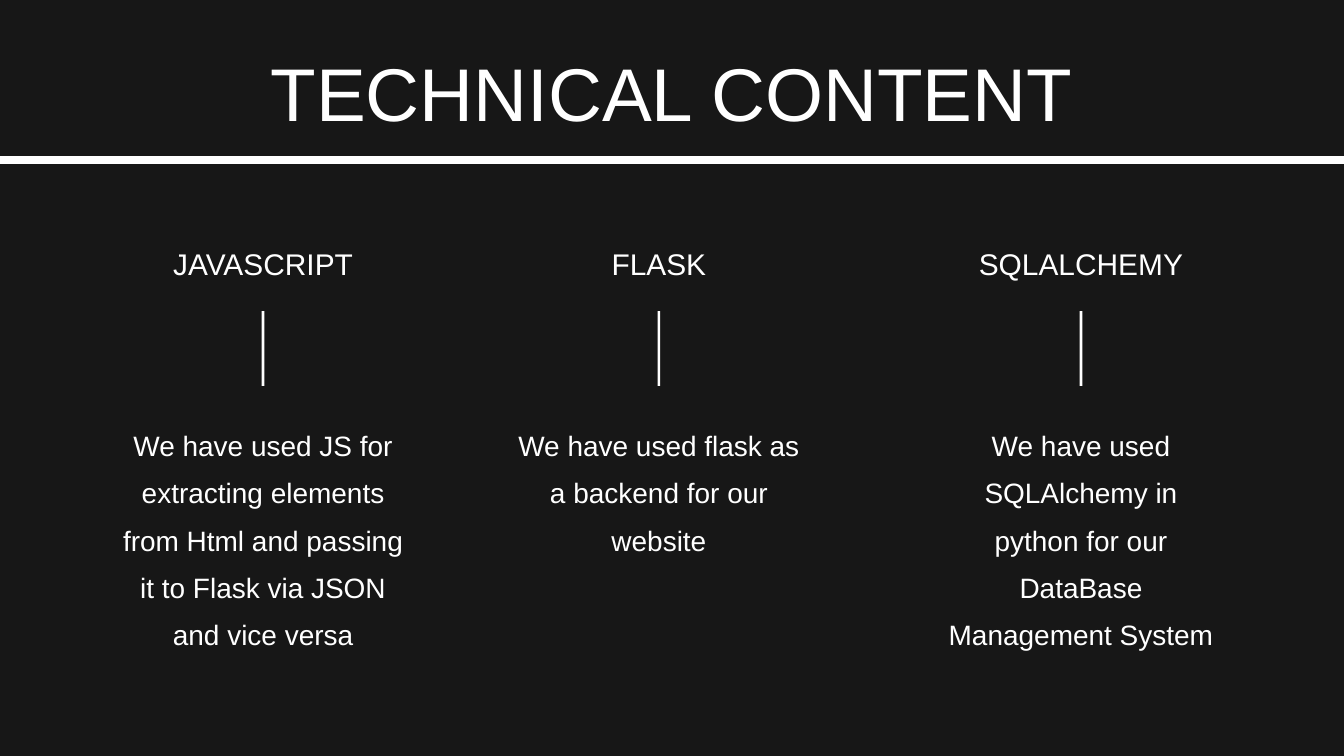
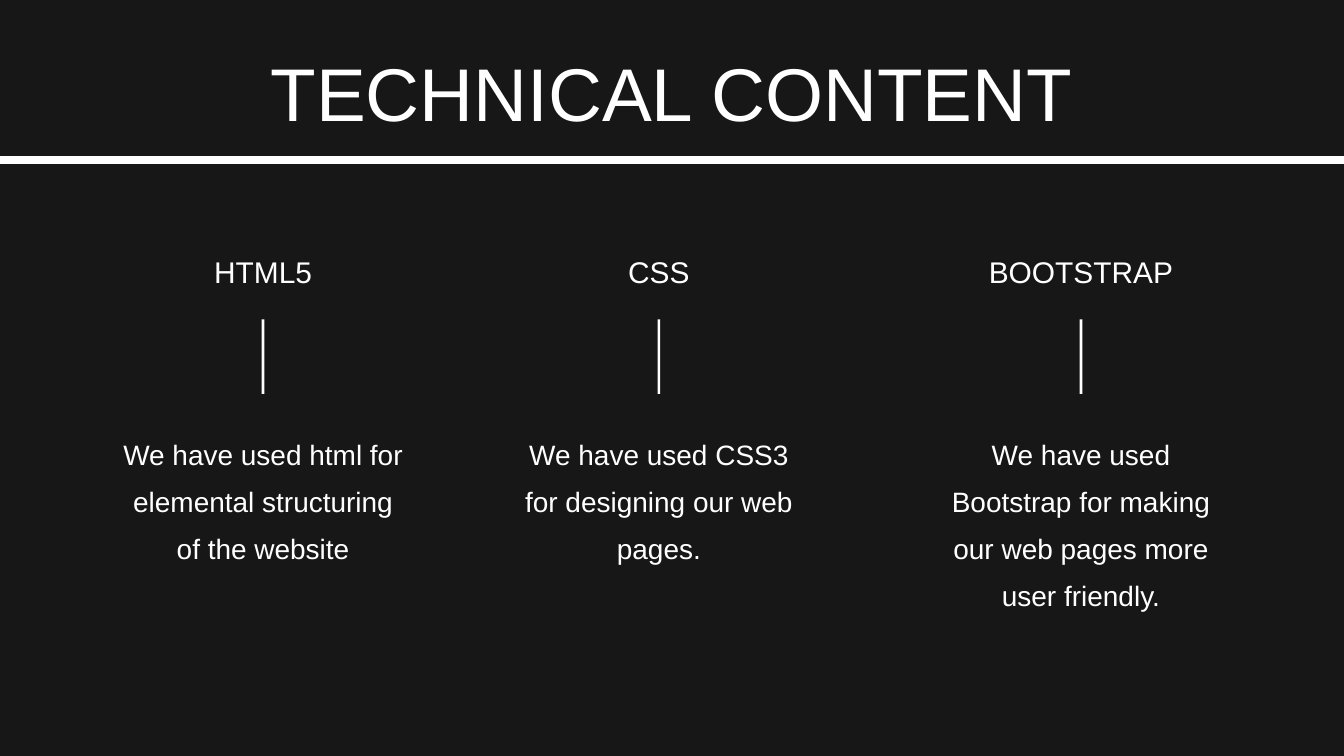
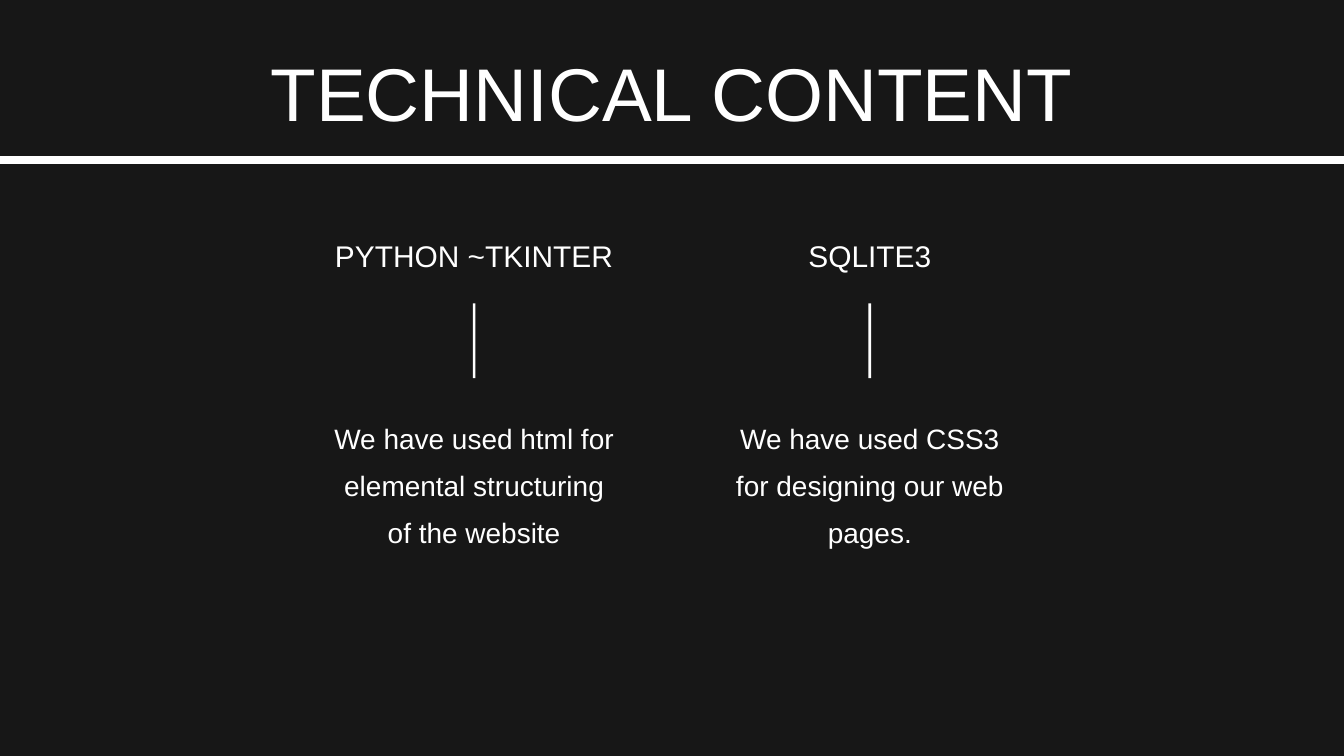
from lxml import etree
from pptx import Presentation
from pptx import util as u
from pptx.dml.color import RGBColor
from pptx.enum import shapes, text
from pptx.oxml.ns import qn

Pt = u.Pt
COLORS = {"background": "171717", "foreground": "FFFFFF"}
FONT = "Arial"
TITLE = "TECHNICAL CONTENT"
TITLE_ONLY = 5

# Geometry in points
SLIDE_WIDTH, SLIDE_HEIGHT = 1440, 810
RULE_Y = 171.4
HEADING_WIDTH, HEADING_HEIGHT = 373.6, 38
BODY_WIDTH, BODY_LINE_HEIGHT = 304.6, 41.5
BAR_WIDTH, BAR_HEIGHT = 2.9, 80
BAR_OFFSET, BODY_OFFSET = 77.8, 189.6  # below the top of the heading
THREE_COLUMNS = (281.9, 706, 1158.2)
TWO_COLUMNS = (508, 932)

# Per slide: top of the headings, column centres, (heading, body, body lines)
SLIDES = [
    (255.6, THREE_COLUMNS, [
        ("JAVASCRIPT", "We have used JS for extracting elements from Html "
         "and passing it to Flask via JSON and vice versa", 5),
        ("FLASK", "We have used flask as a backend for our website", 3),
        ("SQLALCHEMY", "We have used SQLAlchemy in python for our "
         "DataBase Management System", 4),
    ]),
    (264.4, THREE_COLUMNS, [
        ("HTML5", "We have used html for elemental structuring of the website", 3),
        ("CSS", "We have used CSS3 for designing our web pages.", 3),
        ("BOOTSTRAP", "We have used Bootstrap for making our web pages "
         "more user friendly.", 4),
    ]),
    (247.4, TWO_COLUMNS, [
        ("PYTHON ~TKINTER", "We have used html for elemental structuring "
         "of the website", 3),
        ("SQLITE3", "We have used CSS3 for designing our web pages.", 3),
    ]),
]


def color(name):
    return RGBColor.from_string(COLORS[name])


def write_text(shape, content, size, line_spacing):
    """Fill a shape with one centred paragraph, without insets."""
    frame = shape.text_frame
    frame.word_wrap = True
    frame.auto_size = text.MSO_AUTO_SIZE.NONE
    frame.vertical_anchor = text.MSO_ANCHOR.TOP
    frame.margin_left = frame.margin_right = 0
    frame.margin_top = frame.margin_bottom = 0
    paragraph = frame.paragraphs[0]
    paragraph.alignment = text.PP_ALIGN.CENTER
    paragraph.line_spacing = line_spacing
    run = paragraph.add_run()
    run.text = content
    run.font.name = FONT
    run.font.size = Pt(size)
    run.font.color.rgb = color("foreground")


def add_title(slide):
    title = slide.shapes.title
    title.left, title.top = Pt(242.8), Pt(54.7)
    title.width, title.height = Pt(954), Pt(82)
    write_text(title, TITLE, 80, 0.98)


def add_rule(slide):
    """Draw the full-width line below the title."""
    rule = slide.shapes.add_connector(
        shapes.MSO_CONNECTOR.STRAIGHT, 0, Pt(RULE_Y), Pt(SLIDE_WIDTH), Pt(RULE_Y))
    rule.line.color.rgb = color("foreground")
    rule.line.width = Pt(9)
    etree.SubElement(rule._element.spPr, qn("a:effectLst"))


def add_text(slide, center, top, width, height, content, size, line_spacing):
    box = slide.shapes.add_textbox(
        Pt(center - width / 2), Pt(top), Pt(width), Pt(height))
    write_text(box, content, size, line_spacing)


def add_bar(slide, center, top):
    bar = slide.shapes.add_shape(
        shapes.MSO_SHAPE.RECTANGLE, Pt(center - BAR_WIDTH / 2), Pt(top),
        Pt(BAR_WIDTH), Pt(BAR_HEIGHT))
    bar.shadow.inherit = False
    bar.fill.solid()
    bar.fill.fore_color.rgb = color("foreground")
    bar.line.fill.background()


def add_column(slide, center, top, heading, body, body_lines):
    """Stack a heading, a short vertical bar and a description."""
    add_text(slide, center, top, HEADING_WIDTH, HEADING_HEIGHT, heading, 32, 1.2)
    add_bar(slide, center, top + BAR_OFFSET)
    add_text(slide, center, top + BODY_OFFSET, BODY_WIDTH,
             body_lines * BODY_LINE_HEIGHT, body, 30, 1.4)


def main():
    presentation = Presentation()
    presentation.slide_width = Pt(SLIDE_WIDTH)
    presentation.slide_height = Pt(SLIDE_HEIGHT)

    # Shared background
    background = presentation.slide_master.background.fill
    background.solid()
    background.fore_color.rgb = color("background")

    for top, centers, columns in SLIDES:
        slide = presentation.slides.add_slide(presentation.slide_layouts[TITLE_ONLY])
        add_title(slide)
        for center, column in zip(centers, columns):
            add_column(slide, center, top, *column)
        add_rule(slide)

    presentation.save("out.pptx")


if __name__ == "__main__":
    main()
